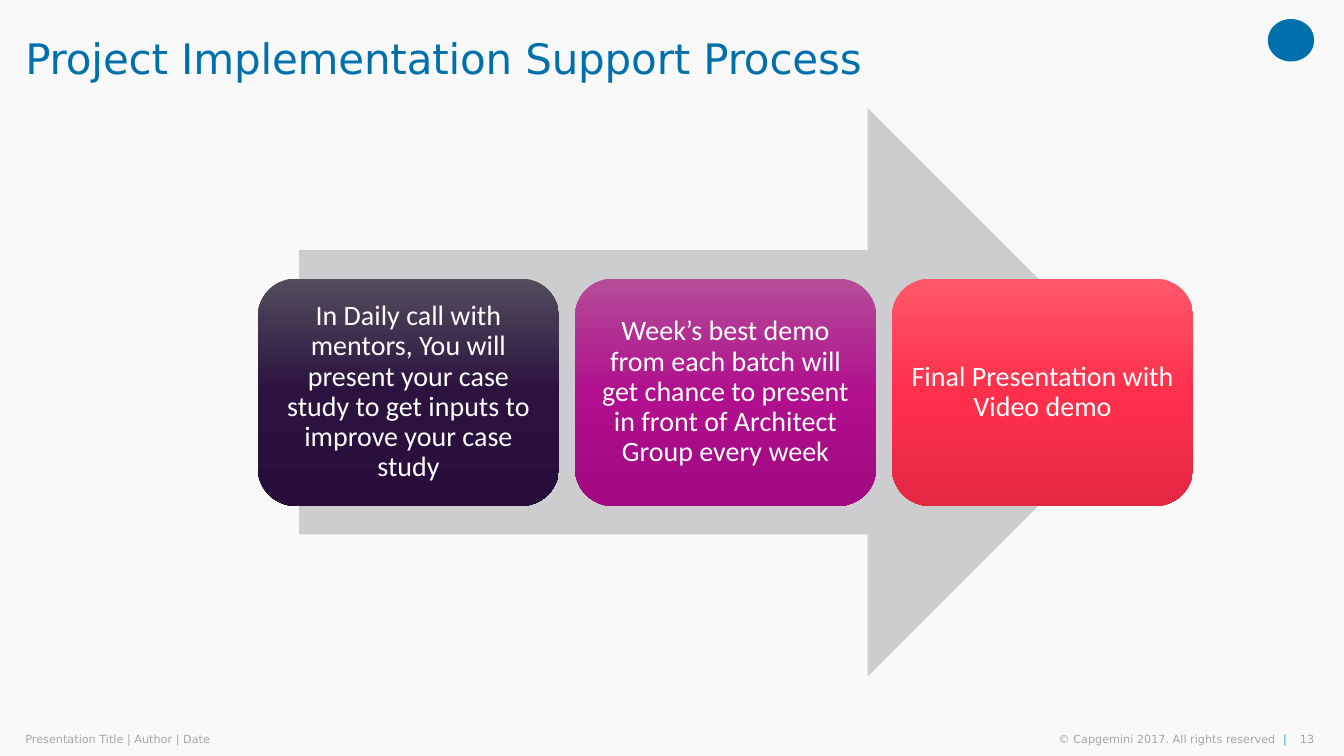
from copy import deepcopy
from dataclasses import dataclass

from pptx import Presentation
from pptx.dml.color import RGBColor
from pptx.enum.shapes import MSO_SHAPE as Shape
from pptx.enum.text import MSO_ANCHOR as Anchor, PP_ALIGN as Align
from pptx.oxml.ns import qn
from pptx.util import Cm, Pt


@dataclass(frozen=True)
class Theme:
    background: str = "F9F9F9"
    blue: str = "0070AD"
    light_blue: str = "12ABDB"
    footer_grey: str = "A6A6A6"
    arrow_grey: str = "CDCCCE"
    white: str = "FFFFFF"
    heading_font: str = "DejaVu Sans"
    card_font: str = "Calibri"
    title_size: int = 30
    card_size: int = 20
    footer_size: int = 8


@dataclass(frozen=True)
class Box:
    left: float
    top: float
    width: float
    height: float

    def lengths(self):
        return [Cm(value) for value in (self.left, self.top, self.width, self.height)]


THEME = Theme()
STEPS = [
    ("In Daily call with mentors, You will present your case study "
     "to get inputs to improve your case study", ("534C5D", "2B123F", "270E3A")),
    ("Week’s best demo from each batch will get chance to present "
     "in front of Architect Group every week", ("B44D98", "B0108E", "A20882")),
    ("Final Presentation with Video demo", ("FF5868", "FF304C", "E52842")),
]


def write_text(shape, *runs, font, size, align=Align.LEFT, line_spacing=None,
               inset=0, tracking=None):
    frame = shape.text_frame
    frame.word_wrap = True
    frame.vertical_anchor = Anchor.MIDDLE
    frame.margin_left = frame.margin_right = Cm(inset)
    frame.margin_top = frame.margin_bottom = Cm(inset)
    paragraph = frame.paragraphs[0]
    paragraph.alignment = align
    paragraph.line_spacing = line_spacing
    for text, color in runs:
        run = paragraph.add_run()
        run.text = text
        run.font.name = font
        run.font.size = Pt(size)
        run.font.color.rgb = RGBColor.from_string(color)
        if tracking is not None:
            run.font._element.set("spc", str(tracking))


def add_plain_shape(slide, kind, box, color):
    shape = slide.shapes.add_shape(kind, *box.lengths())
    shape.shadow.inherit = False
    shape.line.fill.background()
    shape.fill.solid()
    shape.fill.fore_color.rgb = RGBColor.from_string(color)
    return shape


def fill_downward(shape, colors):
    shape.fill.gradient()
    stop_list = shape.element.spPr.find(".//" + qn("a:gsLst"))
    stop_list.append(deepcopy(stop_list[0]))
    for index, (stop, color) in enumerate(zip(shape.fill.gradient_stops, colors)):
        stop.position = index / (len(colors) - 1)
        stop.color.rgb = RGBColor.from_string(color)
    shape.fill.gradient_angle = 270


def add_header(slide, box):
    title = slide.shapes.add_textbox(*Box(box.left, box.top, 30.91, box.height).lengths())
    write_text(title, ("Project Implementation Support Process", THEME.blue),
               font=THEME.heading_font, size=THEME.title_size,
               line_spacing=0.9, tracking=-10)
    mark = Box(box.left + box.width - 1.17, box.top + 0.48, 1.17, 1.07)
    add_plain_shape(slide, Shape.OVAL, mark, THEME.blue)


def add_process(slide, box):
    arrow = Box(box.left + 1.04, box.top, 21.49, box.height)
    add_plain_shape(slide, Shape.RIGHT_ARROW, arrow, THEME.arrow_grey)
    gap = 0.4
    width = (box.width - gap * (len(STEPS) - 1)) / len(STEPS)
    height = box.height * 0.4
    top = box.top + (box.height - height) / 2
    for index, (text, colors) in enumerate(STEPS):
        place = Box(box.left + index * (width + gap), top, width, height)
        card = add_plain_shape(slide, Shape.ROUNDED_RECTANGLE, place, colors[1])
        fill_downward(card, colors)
        write_text(card, (text, THEME.white), font=THEME.card_font,
                   size=THEME.card_size, align=Align.CENTER,
                   line_spacing=0.9, inset=0.2)


def add_footer(slide, box):
    grey = THEME.footer_grey
    parts = [
        (0, 13.11, Align.LEFT, [("Presentation Title | Author | Date", grey)]),
        (box.width - 8.08, 7.39, Align.RIGHT,
         [("© Capgemini 2017. All rights reserved  ", grey), ("|", THEME.light_blue)]),
        (box.width - 0.6, 0.6, Align.RIGHT, [("13", grey)]),
    ]
    for offset, width, align, runs in parts:
        place = Box(box.left + offset, box.top, width, box.height)
        textbox = slide.shapes.add_textbox(*place.lengths())
        write_text(textbox, *runs, font=THEME.heading_font,
                   size=THEME.footer_size, align=align)


def main():
    presentation = Presentation()
    presentation.slide_width = Cm(33.87)
    presentation.slide_height = Cm(19.05)
    slide = presentation.slides.add_slide(presentation.slide_layouts[6])
    slide.background.fill.solid()
    slide.background.fill.fore_color.rgb = RGBColor.from_string(THEME.background)
    add_header(slide, Box(0.64, 0, 32.48, 3.07))
    add_process(slide, Box(6.5, 2.72, 23.57, 14.33))
    add_footer(slide, Box(0.64, 18.47, 32.48, 0.33))
    presentation.save("out.pptx")


if __name__ == "__main__":
    main()
